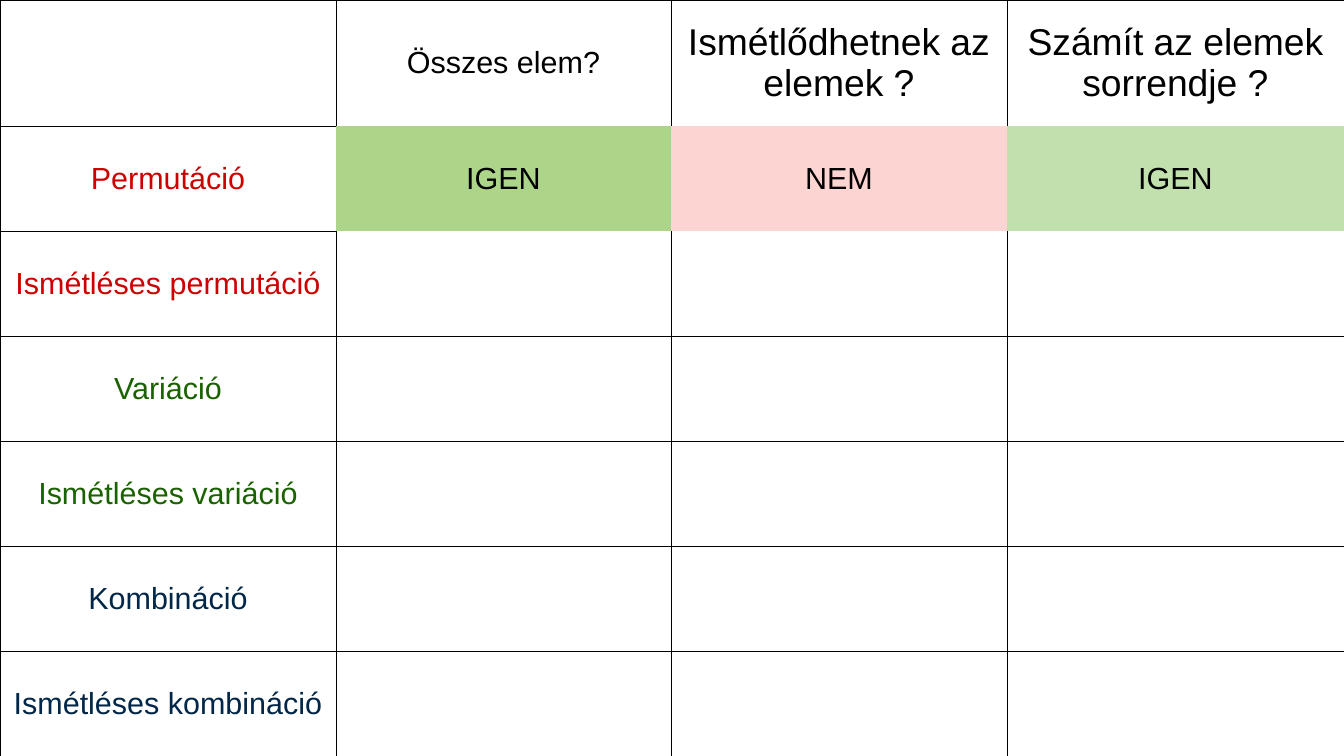
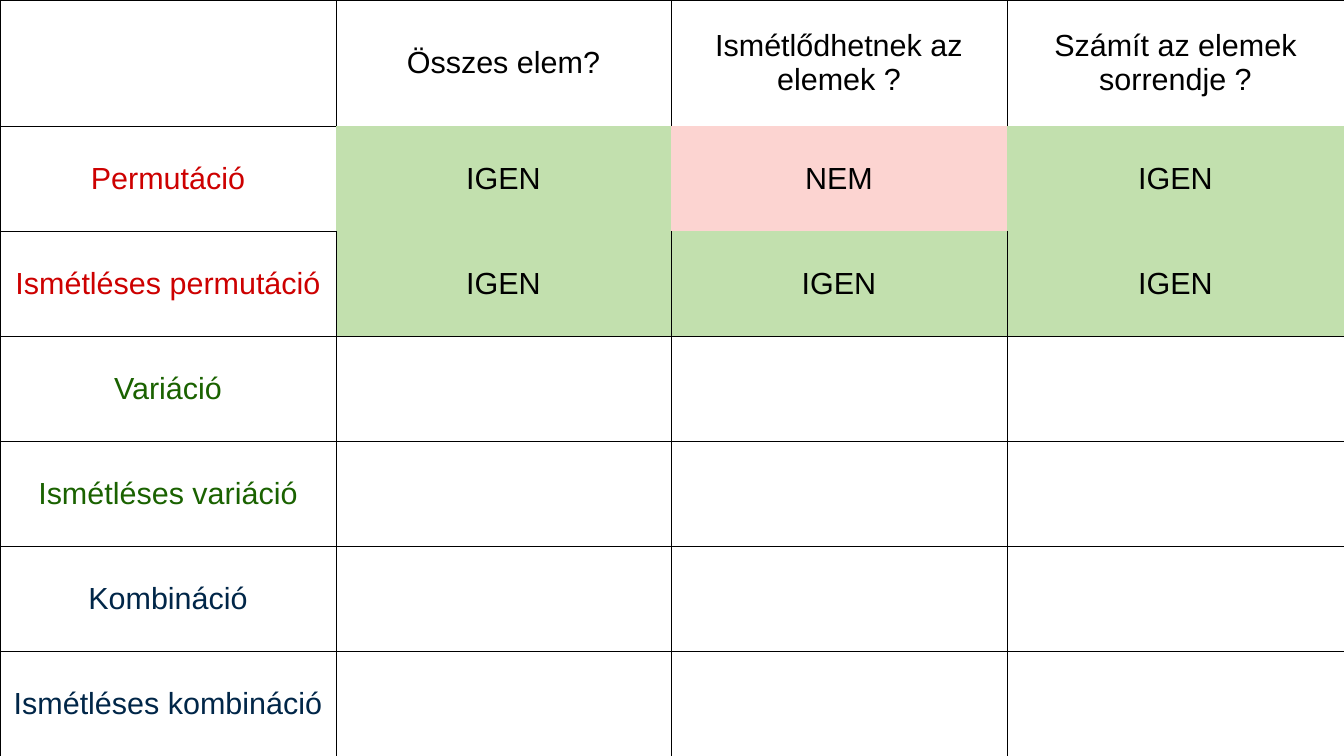
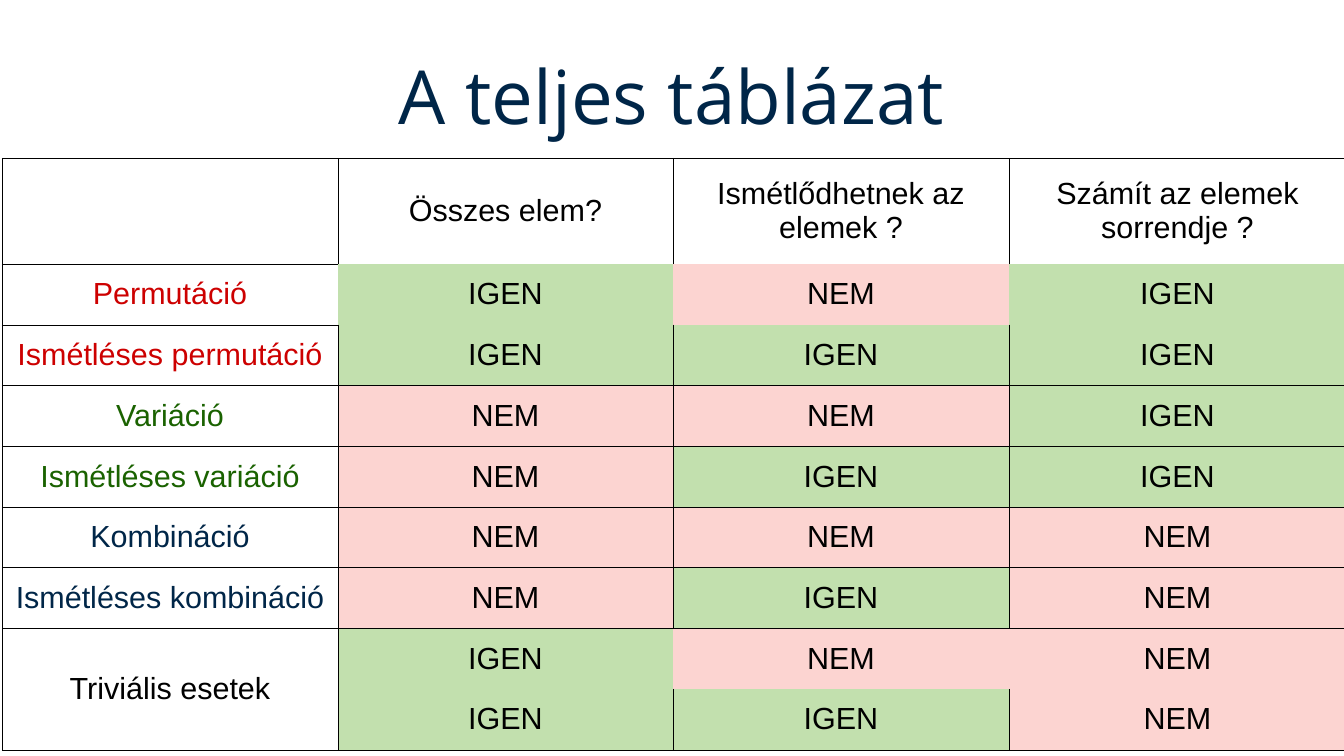
from lxml.etree import SubElement
from pptx import Presentation
from pptx.dml.color import RGBColor
from pptx.enum.text import MSO_ANCHOR as Anchor, PP_ALIGN as Align
from pptx.oxml.ns import qn
from pptx.util import Pt

PX = 7495
SLIDE_WIDTH, SLIDE_HEIGHT = 1344, 756
COLUMN_WIDTHS = (336, 335, 336, 337)
BORDER_WIDTH = Pt(0.06)
TITLE_ONLY, BLANK = 5, 6

COLORS = {
    "black": "000000",
    "white": "FFFFFF",
    "red": "CD0000",
    "green": "1A6200",
    "navy": "002648",
    "yes": "C2E0AE",
    "strong_yes": "ADD58A",
    "no": "FCD4D1",
}
ANSWER_FILLS = {"IGEN": "yes", "NEM": "no"}

QUESTIONS = ("Összes elem?", "Ismétlődhetnek az elemek ?", "Számít az elemek sorrendje ?")
CASES = [
    ("Permutáció", "red", ("IGEN", "NEM", "IGEN")),
    ("Ismétléses permutáció", "red", ("IGEN", "IGEN", "IGEN")),
    ("Variáció", "green", ("NEM", "NEM", "IGEN")),
    ("Ismétléses variáció", "green", ("NEM", "IGEN", "IGEN")),
    ("Kombináció", "navy", ("NEM", "NEM", "NEM")),
    ("Ismétléses kombináció", "navy", ("NEM", "IGEN", "NEM")),
    ("Triviális esetek", "black", ("IGEN", "NEM", "NEM")),
    ("", "black", ("IGEN", "IGEN", "NEM")),
]
TRIVIAL_ROW = 7
HIDDEN_SIDES = {1: "LRTB", TRIVIAL_ROW: "RB"}
NEIGHBOURS = {"L": (0, -1, "R"), "R": (0, 1, "L"), "T": (-1, 0, "B"), "B": (1, 0, "T")}

SLIDES = [
    {"cases": 6, "answered": 1, "box": (0, 0, 756), "header": 126,
     "question_sizes": (18, 22, 22), "fills": {(1, 1): "strong_yes"}},
    {"cases": 6, "answered": 2, "box": (0, 0, 756), "header": 126},
    {"cases": 8, "answered": 8, "box": (2, 158, 592), "header": 106,
     "title": "A teljes táblázat"},
]


def rgb(name):
    return RGBColor.from_string(COLORS[name])


def format_text(frame, size, color, font):
    paragraph = frame.paragraphs[0]
    paragraph.alignment = Align.CENTER
    for run in paragraph.runs:
        run.font.size = Pt(size)
        run.font.name = font
        run.font.color.rgb = rgb(color)


def hides(row, column, side):
    return column > 0 and side in HIDDEN_SIDES.get(row, "")


def draw_borders(cell, row, column):
    properties = cell._tc.get_or_add_tcPr()
    for position, (side, (down, across, mirror)) in enumerate(NEIGHBOURS.items()):
        line = SubElement(properties, qn(f"a:ln{side}"), w=str(int(BORDER_WIDTH)))
        if hides(row, column, side) or hides(row + down, column + across, mirror):
            SubElement(line, qn("a:noFill"))
        else:
            fill = SubElement(line, qn("a:solidFill"))
            SubElement(fill, qn("a:srgbClr"), val=COLORS["black"])
        properties.insert(position, line)


def fill_cell(cell, row, column, text, fill, size=18, color="black"):
    cell.text_frame.text = text
    cell.vertical_anchor = Anchor.MIDDLE
    format_text(cell.text_frame, size, color, "Arial")
    cell.fill.solid()
    cell.fill.fore_color.rgb = rgb(fill)
    draw_borders(cell, row, column)


def add_title(slide, text):
    title = slide.shapes.title
    title.left, title.top, title.width, title.height = (v * PX for v in (67, 31, 1210, 127))
    frame = title.text_frame
    frame.text = text
    frame.vertical_anchor = Anchor.MIDDLE
    frame.margin_left = frame.margin_right = frame.margin_top = frame.margin_bottom = 0
    format_text(frame, 44, "navy", "Open Sans")


def add_case_table(slide, cases, answered, box, header,
                   question_sizes=(18, 18, 18), fills=None):
    left, top, height = box
    table = slide.shapes.add_table(
        cases + 1, len(COLUMN_WIDTHS), left * PX, top * PX,
        sum(COLUMN_WIDTHS) * PX, height * PX).table
    table.first_row = table.horz_banding = False
    for column, width in zip(table.columns, COLUMN_WIDTHS):
        column.width = width * PX
    case_height = (height - header) * PX // cases
    for index, row in enumerate(table.rows):
        row.height = case_height if index else header * PX

    fill_cell(table.cell(0, 0), 0, 0, "", "white")
    for column, (question, size) in enumerate(zip(QUESTIONS, question_sizes), 1):
        fill_cell(table.cell(0, column), 0, column, question, "white", size)
    for row, (label, color, answers) in enumerate(CASES[:cases], 1):
        fill_cell(table.cell(row, 0), row, 0, label, "white", color=color)
        for column, answer in enumerate(answers, 1):
            text = answer if row <= answered else ""
            fill = (fills or {}).get((row, column), ANSWER_FILLS.get(text, "white"))
            fill_cell(table.cell(row, column), row, column, text, fill)
    if cases > TRIVIAL_ROW:
        table.cell(TRIVIAL_ROW, 0).merge(table.cell(TRIVIAL_ROW + 1, 0))


def main():
    deck = Presentation()
    deck.slide_width, deck.slide_height = SLIDE_WIDTH * PX, SLIDE_HEIGHT * PX
    for content in SLIDES:
        title = content.get("title")
        slide = deck.slides.add_slide(deck.slide_layouts[TITLE_ONLY if title else BLANK])
        if title:
            add_title(slide, title)
        add_case_table(slide, **{key: value for key, value in content.items() if key != "title"})
    deck.save("out.pptx")


if __name__ == "__main__":
    main()
